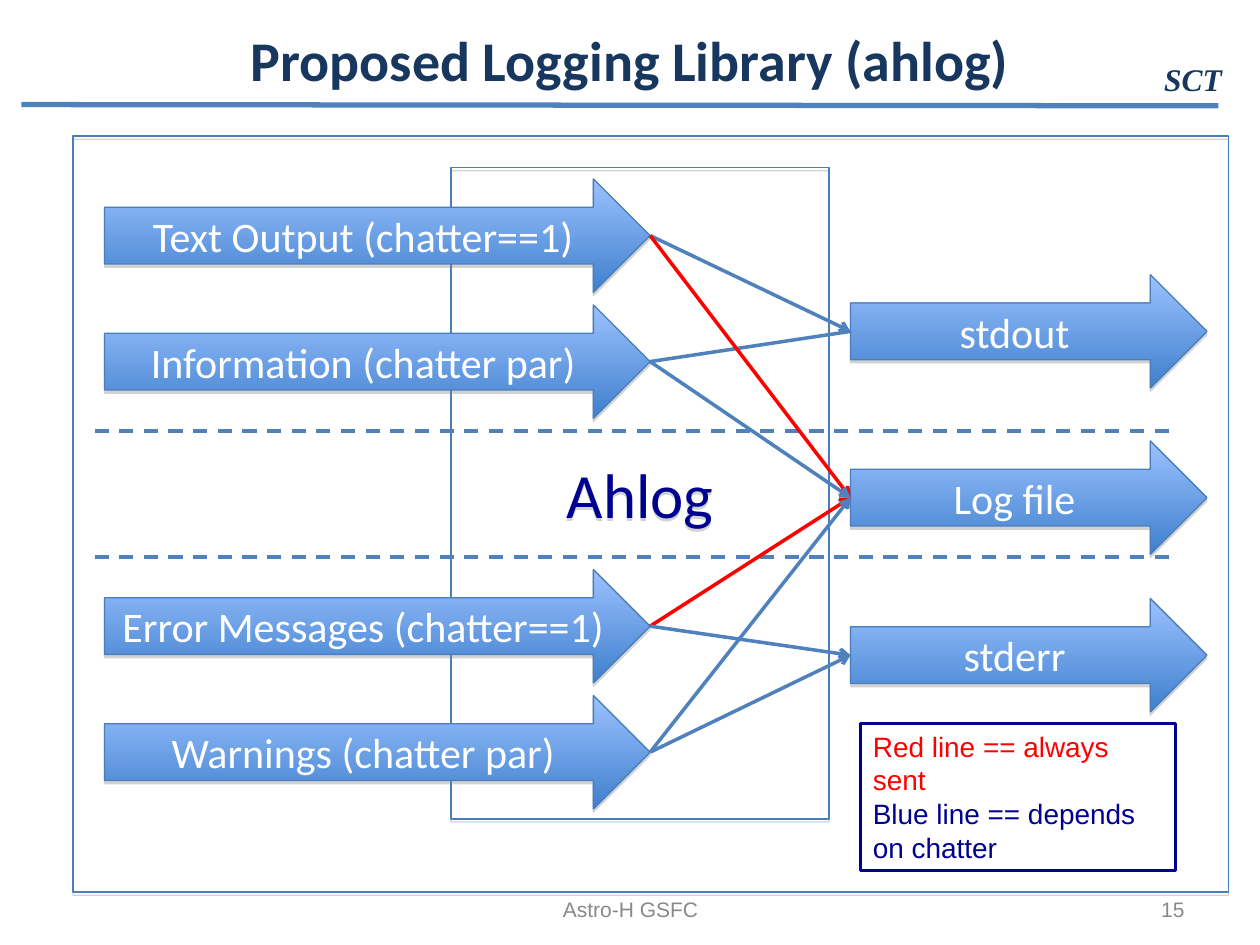
from pptx import Presentation
from pptx.dml.color import RGBColor
from pptx.enum.dml import MSO_LINE
from pptx.enum.shapes import MSO_CONNECTOR, MSO_SHAPE
from pptx.enum.text import MSO_ANCHOR as Anchor, PP_ALIGN as Align
from pptx.oxml import parse_xml
from pptx.oxml.ns import nsdecls
from pptx.util import Inches, Pt

NAVY, BLUE, EDGE, RED, INK, GREY = "17375E", "4F81BD", "4A7EBB", "FF0000", "000090", "898989"
WHITE, GRADIENT = "FFFFFF", ("9BC1FF", "3F80CD")

TITLE = "Proposed Logging Library (ahlog)"
# Message kinds and destinations, each with the top of its arrow
MESSAGES = {
    "Text Output (chatter==1)": 1.42,
    "Information (chatter par)": 2.42,
    "Error Messages (chatter==1)": 4.52,
    "Warnings (chatter par)": 5.52,
}
OUTPUTS = {"stdout": 2.18, "Log file": 3.5, "stderr": 4.75}
# Message, destination, colour, arrowhead
ROUTES = [
    ("Text Output (chatter==1)", "stdout", BLUE, True),
    ("Information (chatter par)", "stdout", BLUE, False),
    ("Text Output (chatter==1)", "Log file", RED, True),
    ("Information (chatter par)", "Log file", BLUE, True),
    ("Error Messages (chatter==1)", "Log file", RED, True),
    ("Warnings (chatter par)", "Log file", BLUE, True),
    ("Error Messages (chatter==1)", "stderr", BLUE, True),
    ("Warnings (chatter par)", "stderr", BLUE, True),
]
LEGEND = [("Red line == always sent", RED), ("Blue line == depends on chatter", INK)]
# Text, place, alignment
FOOTERS = [
    ("Astro-H GSFC", (3.42, 7.08, 3.17, 0.27), Align.CENTER),
    ("15", (7.17, 7.08, 2.33, 0.27), Align.RIGHT),
]
ARROW_HEIGHT = 0.9
MESSAGE_LEFT, MESSAGE_WIDTH = 0.83, 4.33
OUTPUT_LEFT, OUTPUT_WIDTH = 6.75, 2.83
DIVIDER_LEFT, DIVIDER_RIGHT, DIVIDERS = 0.75, 9.33, (3.42, 4.42)


def rgb(value):
    return RGBColor.from_string(value)


def inches(place):
    return [Inches(length) for length in place]


def style(para, size, color, font="Calibri", align=Align.CENTER, bold=False, italic=False):
    para.alignment = align
    for span in para.runs:
        span.font.size, span.font.name = Pt(size), font
        span.font.bold, span.font.italic = bold, italic
        span.font.color.rgb = rgb(color)


def add_text(place, text, anchor=Anchor.MIDDLE, wrap=True, **look):
    frame = slide.shapes.add_textbox(*inches(place)).text_frame
    frame.word_wrap, frame.vertical_anchor = wrap, anchor
    frame.text = text
    style(frame.paragraphs[0], **look)


def add_box(kind, place, color=EDGE, width=0.75, shadow=True):
    """Add an outlined, unfilled shape, by default with a thin shadow below it."""
    box = slide.shapes.add_shape(kind, *inches(place))
    box.fill.background()
    box.line.color.rgb, box.line.width = rgb(color), Pt(width)
    box.shadow.inherit = False
    if shadow:
        box._element.spPr.find(".//{*}effectLst").append(parse_xml(
            f'<a:outerShdw {nsdecls("a")} blurRad="0" dist="{Pt(1.8)}" dir="5400000" rotWithShape="0">'
            '<a:srgbClr val="808080"><a:alpha val="35000"/></a:srgbClr></a:outerShdw>'))
    return box


def add_block_arrow(text, left, top, width):
    arrow = add_box(MSO_SHAPE.RIGHT_ARROW, (left, top, width, ARROW_HEIGHT))
    arrow.fill.gradient()
    arrow.fill.gradient_angle = 270
    for stop, color in zip(arrow.fill.gradient_stops, GRADIENT):
        stop.color.rgb = rgb(color)
    arrow.text_frame.word_wrap = True
    arrow.text_frame.text = text
    style(arrow.text_frame.paragraphs[0], 24, WHITE)
    return arrow


def add_line(start, end, color=BLUE, width=2, dashed=False, head=False):
    line = slide.shapes.add_connector(MSO_CONNECTOR.STRAIGHT, *inches(start + end))
    line.line.color.rgb, line.line.width = rgb(color), Pt(width)
    if dashed:
        line.line.dash_style = MSO_LINE.DASH
    if head:
        line.line._get_or_add_ln().append(parse_xml(f'<a:tailEnd {nsdecls("a")} type="arrow"/>'))
    line._element.spPr.append(parse_xml(f'<a:effectLst {nsdecls("a")}/>'))
    return line


deck = Presentation()
deck.slide_width, deck.slide_height = Inches(10), Inches(7.5)
slide = deck.slides.add_slide(deck.slide_layouts[5])

title = slide.shapes.title
title.left, title.top, title.width, title.height = inches((0.5, 0.08, 9, 0.78))
title.text_frame.text = TITLE
title.text_frame.vertical_anchor = Anchor.MIDDLE
style(title.text_frame.paragraphs[0], 32, NAVY, bold=True)

add_line((0.17, 0.83), (9.67, 0.84), width=3)
add_text((9.14, 0.43, 0.66, 0.4), "SCT", anchor=Anchor.TOP, wrap=False, size=18, color=NAVY,
         font="Times New Roman", align=Align.LEFT, bold=True, italic=True)
for text, place, align in FOOTERS:
    add_text(place, text, size=12, color=GREY, font="Arial", align=align)

library = add_box(MSO_SHAPE.RECTANGLE, (3.58, 1.33, 3, 5.17))
library.text_frame.text = "Ahlog"
style(library.text_frame.paragraphs[0], 36, INK)

for y in DIVIDERS:
    add_line((DIVIDER_LEFT, y), (DIVIDER_RIGHT, y), dashed=True)

messages = {text: add_block_arrow(text, MESSAGE_LEFT, top, MESSAGE_WIDTH)
            for text, top in MESSAGES.items()}
outputs = {text: add_block_arrow(text, OUTPUT_LEFT, top, OUTPUT_WIDTH)
           for text, top in OUTPUTS.items()}
for message, output, color, head in ROUTES:
    route = add_line((0, 0), (1, 1), color, head=head)
    route.begin_connect(messages[message], 3)
    route.end_connect(outputs[output], 1)

legend = add_box(MSO_SHAPE.RECTANGLE, (6.83, 5.74, 2.5, 1.17), INK, 1.5, shadow=False)
frame = legend.text_frame
frame.word_wrap, frame.vertical_anchor = True, Anchor.TOP
frame.text = "\n".join(text for text, _ in LEGEND)
for para, (_, color) in zip(frame.paragraphs, LEGEND):
    style(para, 16, color, font="Arial", align=Align.LEFT)

add_box(MSO_SHAPE.RECTANGLE, (0.58, 1.08, 9.17, 6))

deck.save("out.pptx")
